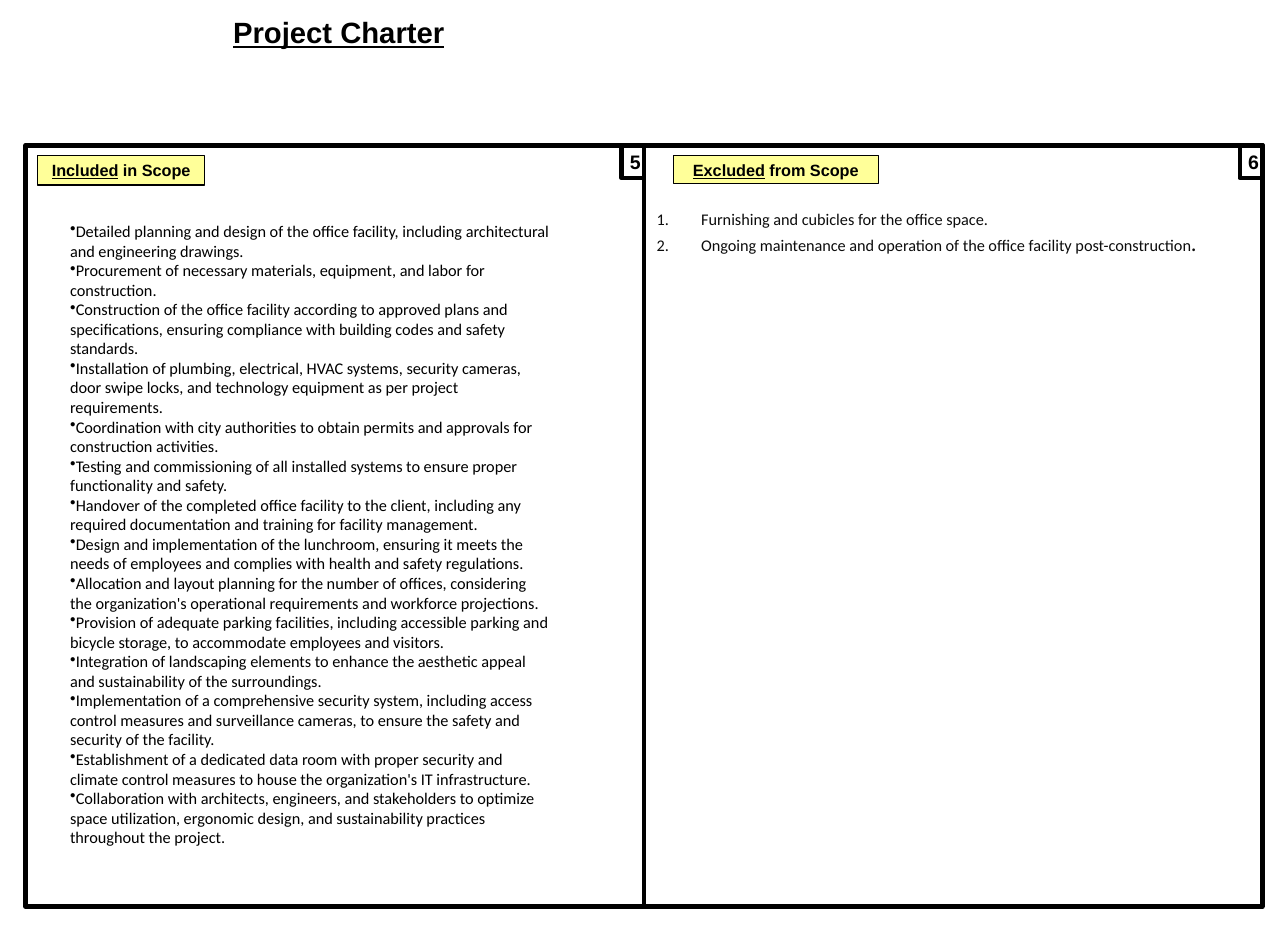
from pptx import Presentation
from pptx.dml.color import RGBColor
from pptx.enum import shapes, text
from pptx.oxml.xmlchemy import OxmlElement
from pptx.util import Inches, Pt

HUES = {"ink": "000000", "soft": "0D0D0D", "label": "FFFF99"}
TOP, LEFT, WIDE, HIGH = 1.24, 0.22, 5.28, 6.5
TAB_W, TAB_H = 0.19, 0.28

SCOPE = [
    "Detailed planning and design of the office facility, including architectural and engineering drawings.",
    "Procurement of necessary materials, equipment, and labor for construction.",
    "Construction of the office facility according to approved plans and specifications, ensuring compliance with building codes and safety standards.",
    "Installation of plumbing, electrical, HVAC systems, security cameras, door swipe locks, and technology equipment as per project requirements.",
    "Coordination with city authorities to obtain permits and approvals for construction activities.",
    "Testing and commissioning of all installed systems to ensure proper functionality and safety.",
    "Handover of the completed office facility to the client, including any required documentation and training for facility management.",
    "Design and implementation of the lunchroom, ensuring it meets the needs of employees and complies with health and safety regulations.",
    "Allocation and layout planning for the number of offices, considering the organization's operational requirements and workforce projections.",
    "Provision of adequate parking facilities, including accessible parking and bicycle storage, to accommodate employees and visitors.",
    "Integration of landscaping elements to enhance the aesthetic appeal and sustainability of the surroundings.",
    "Implementation of a comprehensive security system, including access control measures and surveillance cameras, to ensure the safety and security of the facility.",
    "Establishment of a dedicated data room with proper security and climate control measures to house the organization's IT infrastructure.",
    "Collaboration with architects, engineers, and stakeholders to optimize space utilization, ergonomic design, and sustainability practices throughout the project.",
]
OUTSIDE = [
    [("Furnishing and cubicles for the office space.", 10)],
    [("Ongoing maintenance and operation of the office facility post-construction", 10), (".", 14)],
]


def paint(hue):
    return RGBColor.from_string(HUES[hue])


def add_run(para, words, size, face="Arial", hue="ink", bold=False, under=False):
    run = para.add_run()
    run.text = words
    font = run.font
    font.name, font.size, font.bold, font.underline = face, Pt(size), bold, under
    font.color.rgb = paint(hue)


def set_frame(frame, side, edge, anchor):
    frame.word_wrap = True
    frame.auto_size = text.MSO_AUTO_SIZE.NONE
    frame.margin_left = frame.margin_right = Inches(side)
    frame.margin_top = frame.margin_bottom = Inches(edge)
    frame.vertical_anchor = anchor


def add_box(slide, spot, weight, fill=None):
    box = slide.shapes.add_shape(shapes.MSO_SHAPE.RECTANGLE, *map(Inches, spot))
    box.shadow.inherit = False
    if fill:
        box.fill.solid()
        box.fill.fore_color.rgb = paint(fill)
    else:
        box.fill.background()
    box.line.color.rgb = paint("ink")
    box.line.width = Pt(weight)
    return box


def add_title(slide):
    title = slide.shapes.title
    title.left, title.top, title.width, title.height = map(Inches, (1.92, 0.08, 5.08, 0.5))
    set_frame(title.text_frame, 0.07, 0.04, text.MSO_ANCHOR.MIDDLE)
    para = title.text_frame.paragraphs[0]
    para.alignment = text.PP_ALIGN.LEFT
    para.line_spacing = 0.5
    add_run(para, "Project Charter", 18, bold=True, under=True)


def add_label(slide, spot, key, rest):
    frame = add_box(slide, spot, 0.75, "label").text_frame
    set_frame(frame, 0.07, 0.04, text.MSO_ANCHOR.TOP)
    para = frame.paragraphs[0]
    para.alignment = text.PP_ALIGN.CENTER
    add_run(para, key, 10, bold=True, under=True)
    add_run(para, rest, 10, bold=True)


def add_panel(slide, left, number):
    add_box(slide, (left, TOP, WIDE, HIGH), 3)
    tab = add_box(slide, (left + WIDE - TAB_W, TOP, TAB_W, TAB_H), 3)
    set_frame(tab.text_frame, 0.07, 0.03, text.MSO_ANCHOR.MIDDLE)
    para = tab.text_frame.paragraphs[0]
    para.alignment = text.PP_ALIGN.LEFT
    add_run(para, number, 12, bold=True)


def set_mark(para, tag, key, value, indent):
    props = para._p.get_or_add_pPr()
    props.set("marL", str(Inches(indent)))
    props.set("indent", str(-Inches(indent)))
    mark = OxmlElement(tag)
    mark.set(key, value)
    props.append(mark)


def add_list(slide, spot, items, mark, hue, indent=0):
    frame = slide.shapes.add_textbox(*map(Inches, spot)).text_frame
    set_frame(frame, 0.1, 0.05, text.MSO_ANCHOR.TOP)
    for order, item in enumerate(items):
        para = frame.add_paragraph() if order else frame.paragraphs[0]
        set_mark(para, *mark, indent)
        for words, size in item:
            add_run(para, words, size, "Calibri", hue)


def main():
    deck = Presentation()
    deck.slide_width, deck.slide_height = Inches(11), Inches(8)
    slide = deck.slides.add_slide(deck.slide_layouts[5])
    add_title(slide)
    for order, number in enumerate("56"):
        add_panel(slide, LEFT + order * WIDE, number)
    add_label(slide, (0.32, 1.33, 1.43, 0.25), "Included", " in Scope")
    add_label(slide, (5.75, 1.33, 1.75, 0.24), "Excluded", " from Scope")
    add_list(slide, (0.5, 1.84, 4.31, 5.48), [[(item, 10)] for item in SCOPE],
             ("a:buChar", "char", "•"), "ink")
    add_list(slide, (5.51, 1.74, 5.15, 0.67), OUTSIDE,
             ("a:buAutoNum", "type", "arabicPeriod"), "soft", 0.38)
    deck.save("out.pptx")


if __name__ == "__main__":
    main()
